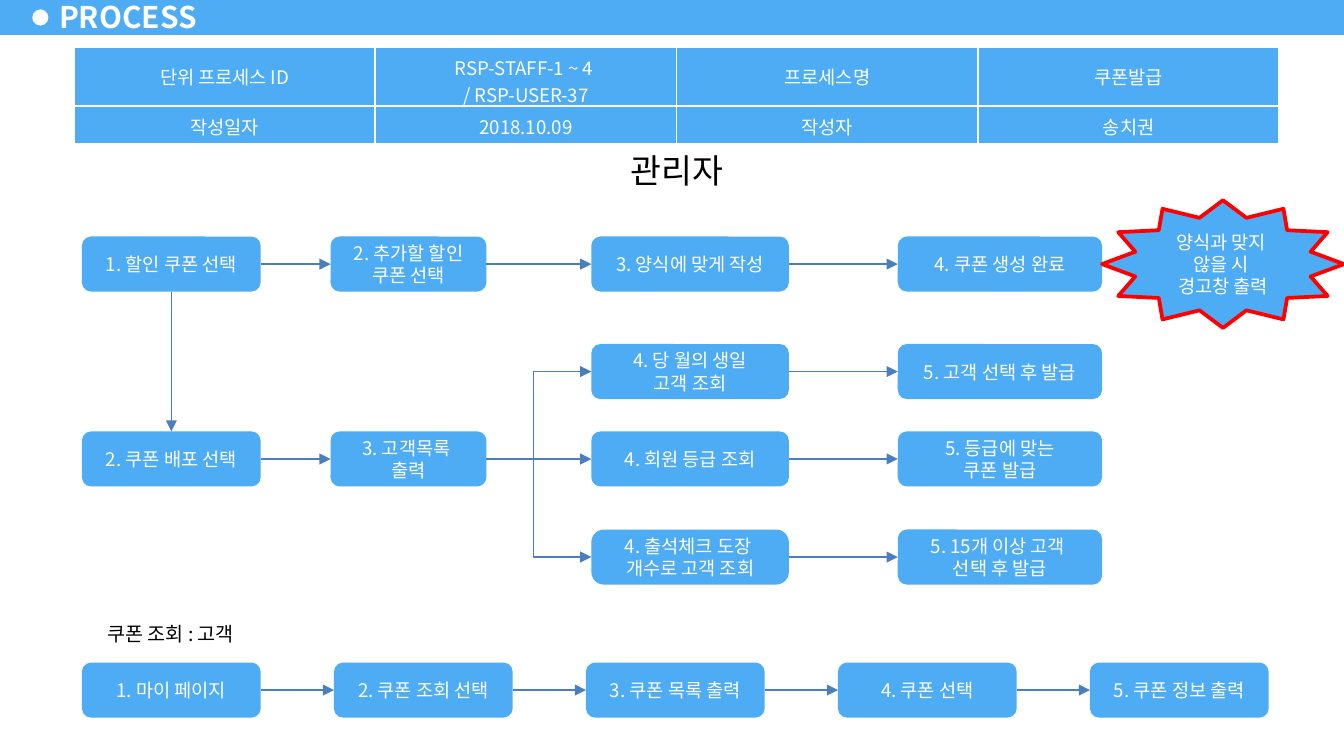
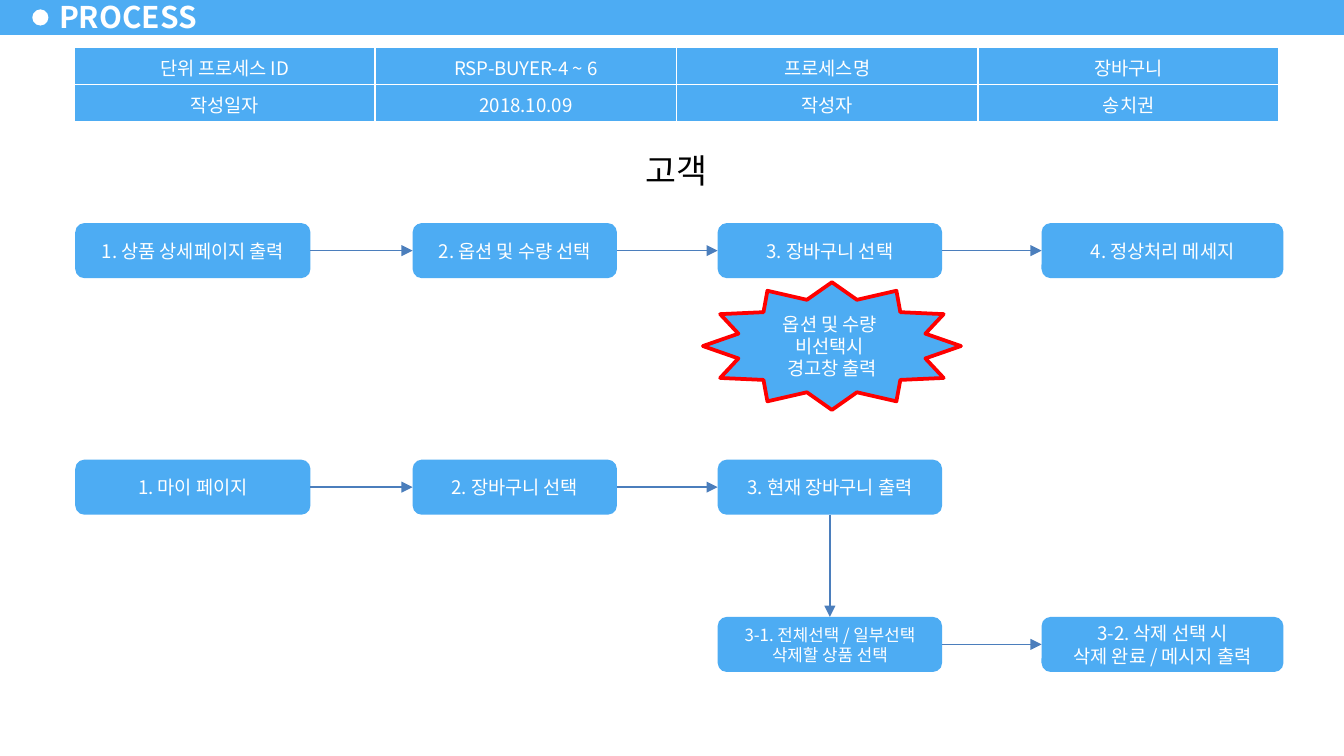
"""Build the two coupon and cart process slides."""
from dataclasses import dataclass
from itertools import pairwise

from lxml import etree
from pptx import Presentation
from pptx.dml.color import RGBColor
from pptx.enum.shapes import MSO_CONNECTOR, MSO_SHAPE
from pptx.enum.text import MSO_ANCHOR, PP_ALIGN
from pptx.oxml.ns import qn
from pptx.util import Inches, Pt

RECTANGLE = MSO_SHAPE.RECTANGLE
ROUNDED = MSO_SHAPE.ROUNDED_RECTANGLE
OVAL = MSO_SHAPE.OVAL
STAR = MSO_SHAPE.STAR_12_POINT
STRAIGHT = MSO_CONNECTOR.STRAIGHT
ELBOW = MSO_CONNECTOR.ELBOW
CENTER = PP_ALIGN.CENTER
LEFT = PP_ALIGN.LEFT
MIDDLE = MSO_ANCHOR.MIDDLE
TOP = MSO_ANCHOR.TOP
TOP_SITE, LEFT_SITE, BOTTOM_SITE, RIGHT_SITE = range(4)


@dataclass(frozen=True)
class Theme:
    font: str = "Noto Sans CJK KR"
    blue: str = "4DACF3"
    white: str = "FFFFFF"
    black: str = "000000"
    red: str = "FF0000"
    arrow: str = "4B7EBC"
    title: float = 16
    heading: float = 18
    label: float = 10.5
    body: float = 10
    small: float = 9
    arrow_width: float = 0.75
    warning_width: float = 2
    box_height: float = 0.41


THEME = Theme()

COUPON_COLUMNS = [(0.61, 1.33), (2.46, 1.16), (4.4, 1.47), (6.68, 1.52)]
CART_COLUMNS = [(0.56, 1.75), (3.07, 1.52), (5.34, 1.67), (7.75, 1.8)]
CUSTOMER_COLUMNS = [(0.61 + 7.5 / 4 * index, 1.33) for index in range(5)]


def color(value):
    return RGBColor.from_string(value)


def write(text_frame, text, size, font_color, align=CENTER, bold=False):
    text_frame.text = text
    for paragraph in text_frame.paragraphs:
        paragraph.alignment = align
        for run in paragraph.runs:
            run.font.name = THEME.font
            run.font.size = Pt(size)
            run.font.bold = bold
            run.font.color.rgb = color(font_color)


def add_block(slide, kind, area, fill, text="", size=THEME.body,
              font_color=THEME.white, anchor=MIDDLE):
    shape = slide.shapes.add_shape(kind, *map(Inches, area))
    shape.shadow.inherit = False
    shape.fill.solid()
    shape.fill.fore_color.rgb = color(fill)
    shape.line.fill.background()
    if text:
        shape.text_frame.word_wrap = True
        shape.text_frame.vertical_anchor = anchor
        write(shape.text_frame, text, size, font_color)
    return shape


def add_caption(slide, area, text, size):
    add_block(slide, RECTANGLE, area, THEME.white, text, size, THEME.black, TOP)


def add_warning(slide, area, text):
    star = add_block(slide, STAR, area, THEME.blue, text)
    star.line.color.rgb = color(THEME.red)
    star.line.width = Pt(THEME.warning_width)
    frame = star.text_frame
    frame.margin_left = frame.margin_right = 0
    frame.margin_top = frame.margin_bottom = 0


def style_arrow(connector):
    connector.line.color.rgb = color(THEME.arrow)
    connector.line.width = Pt(THEME.arrow_width)
    line = connector.line._get_or_add_ln()
    etree.SubElement(line, qn("a:tailEnd"), type="triangle")
    etree.SubElement(connector._element.spPr, qn("a:effectLst"))


def add_arrow(slide, source, target, source_site=RIGHT_SITE, target_site=LEFT_SITE):
    connector = slide.shapes.add_connector(STRAIGHT, 0, 0, 0, 0)
    connector.begin_connect(source, source_site)
    connector.end_connect(target, target_site)
    style_arrow(connector)


def add_branch(slide, start_x, start_y, target):
    """Draw an arrow that runs vertically, then right into the target."""
    x, y = Inches(start_x), Inches(start_y)
    end_y = target.top + target.height // 2
    run, rise = target.left - x, abs(end_y - y)
    left = (x + target.left - rise) // 2
    top = (y + end_y - run) // 2
    connector = slide.shapes.add_connector(ELBOW, left, top, left + rise, top + run)
    properties = connector._element.spPr
    properties.find(qn("a:prstGeom")).set("prst", "bentConnector2")
    transform = properties.find(qn("a:xfrm"))
    transform.set("flipH", "1")
    if end_y < y:
        transform.set("flipV", "1")
        transform.set("rot", str(90 * 60000))
    else:
        transform.set("rot", str(270 * 60000))
    style_arrow(connector)


def add_flow(slide, top, columns, steps, size=THEME.body):
    boxes = [
        add_block(slide, ROUNDED, (left, top, width, THEME.box_height),
                  THEME.blue, step, size)
        for (left, width), step in zip(columns, steps)
    ]
    for source, target in pairwise(boxes):
        add_arrow(slide, source, target)
    return boxes


def set_borders(cell):
    properties = cell._tc.get_or_add_tcPr()
    for index, side in enumerate(("lnL", "lnR", "lnT", "lnB")):
        line = etree.Element(qn(f"a:{side}"), w=str(Pt(1)))
        fill = etree.SubElement(line, qn("a:solidFill"))
        etree.SubElement(fill, qn("a:srgbClr"), val=THEME.white)
        properties.insert(index, line)


def add_process_table(slide, process_id, process_name, first_height):
    rows = [
        ["단위 프로세스 ID", process_id, "프로세스명", process_name],
        ["작성일자", "2018.10.09", "작성자", "송치권"],
    ]
    heights = [first_height, 0.28]
    area = (0.55, 0.35, 8.97, sum(heights))
    table = slide.shapes.add_table(2, 4, *map(Inches, area)).table
    for row, height, texts in zip(table.rows, heights, rows):
        row.height = Inches(height)
        for cell, text in zip(row.cells, texts):
            cell.vertical_anchor = MIDDLE
            cell.fill.solid()
            cell.fill.fore_color.rgb = color(THEME.blue)
            write(cell.text_frame, text, THEME.body, THEME.white)
            set_borders(cell)


def add_process_slide(presentation, heading, process_id, process_name, first_height):
    slide = presentation.slides.add_slide(presentation.slide_layouts[6])
    add_block(slide, RECTANGLE, (0, -0.02, 10, 0.28), THEME.blue)
    add_block(slide, OVAL, (0.24, 0.07, 0.12, 0.12), THEME.white)
    title = slide.shapes.add_textbox(*map(Inches, (0.35, -0.04, 1.22, 0.32)))
    frame = title.text_frame
    frame.word_wrap = True
    frame.vertical_anchor = MIDDLE
    frame.margin_left = frame.margin_right = Inches(0.09)
    frame.margin_top = frame.margin_bottom = Inches(0.04)
    write(frame, "PROCESS", THEME.title, THEME.white, LEFT, True)
    add_caption(slide, (3.25, 1.07, 3.57, 0.4), heading, THEME.heading)
    add_process_table(slide, process_id, process_name, first_height)
    return slide


def build_coupon_slide(presentation):
    slide = add_process_slide(
        presentation, "관리자", "RSP-STAFF-1 ~ 4 \n/ RSP-USER-37", "쿠폰발급", 0.44)
    create = add_flow(slide, 1.76, COUPON_COLUMNS, [
        "1. 할인 쿠폰 선택", "2. 추가할 할인\n쿠폰 선택",
        "3. 양식에 맞게 작성", "4. 쿠폰 생성 완료"])
    add_warning(slide, (8.2, 1.49, 1.8, 0.95), "양식과 맞지 \v않을 시 \v경고창 출력")
    issue = add_flow(slide, 3.21, COUPON_COLUMNS, [
        "2. 쿠폰 배포 선택", "3. 고객목록 \n출력",
        "4. 회원 등급 조회", "5. 등급에 맞는\n쿠폰 발급"])
    add_arrow(slide, create[0], issue[0], BOTTOM_SITE, TOP_SITE)
    birthday = add_flow(slide, 2.56, COUPON_COLUMNS[2:], [
        "4. 당 월의 생일\n고객 조회", "5. 고객 선택 후 발급"])
    stamps = add_flow(slide, 3.94, COUPON_COLUMNS[2:], [
        "4. 출석체크 도장 \n개수로 고객 조회", "5. 15개 이상 고객 \n선택 후 발급"])
    stamps[0].adjustments[0] = 0.23
    for branch in (birthday, stamps):
        add_branch(slide, 3.97, 3.43, branch[0])
    add_flow(slide, 4.93, CUSTOMER_COLUMNS, [
        "1. 마이 페이지", "2. 쿠폰 조회 선택", "3. 쿠폰 목록 출력",
        "4. 쿠폰 선택", "5. 쿠폰 정보 출력"])
    add_caption(slide, (0.6, 4.58, 1.34, 0.28), "쿠폰 조회 : 고객", THEME.label)


def build_cart_slide(presentation):
    slide = add_process_slide(
        presentation, "고객", "RSP-BUYER-4 ~ 6", "장바구니", 0.28)
    add_flow(slide, 1.66, CART_COLUMNS, [
        "1. 상품 상세페이지 출력", "2. 옵션 및 수량 선택",
        "3. 장바구니 선택", "4. 정상처리 메세지"])
    add_warning(slide, (5.23, 2.1, 1.92, 0.95), "옵션 및 수량 \n비선택시 \n경고창 출력")
    view = add_flow(slide, 3.42, CART_COLUMNS, [
        "1. 마이 페이지", "2. 장바구니 선택", "3. 현재 장바구니 출력"])
    choose, = add_flow(slide, 4.59, CART_COLUMNS[2:3], [
        "3-1. 전체선택 / 일부선택\v삭제할 상품 선택"], THEME.small)
    delete, = add_flow(slide, 4.59, CART_COLUMNS[3:], [
        "3-2. 삭제 선택 시\v삭제 완료 / 메시지 출력"])
    add_arrow(slide, view[-1], choose, BOTTOM_SITE, TOP_SITE)
    add_arrow(slide, choose, delete)


def main():
    presentation = Presentation()
    presentation.slide_width = Inches(10)
    presentation.slide_height = Inches(10) * 9 // 16
    build_coupon_slide(presentation)
    build_cart_slide(presentation)
    presentation.save("out.pptx")


if __name__ == "__main__":
    main()
